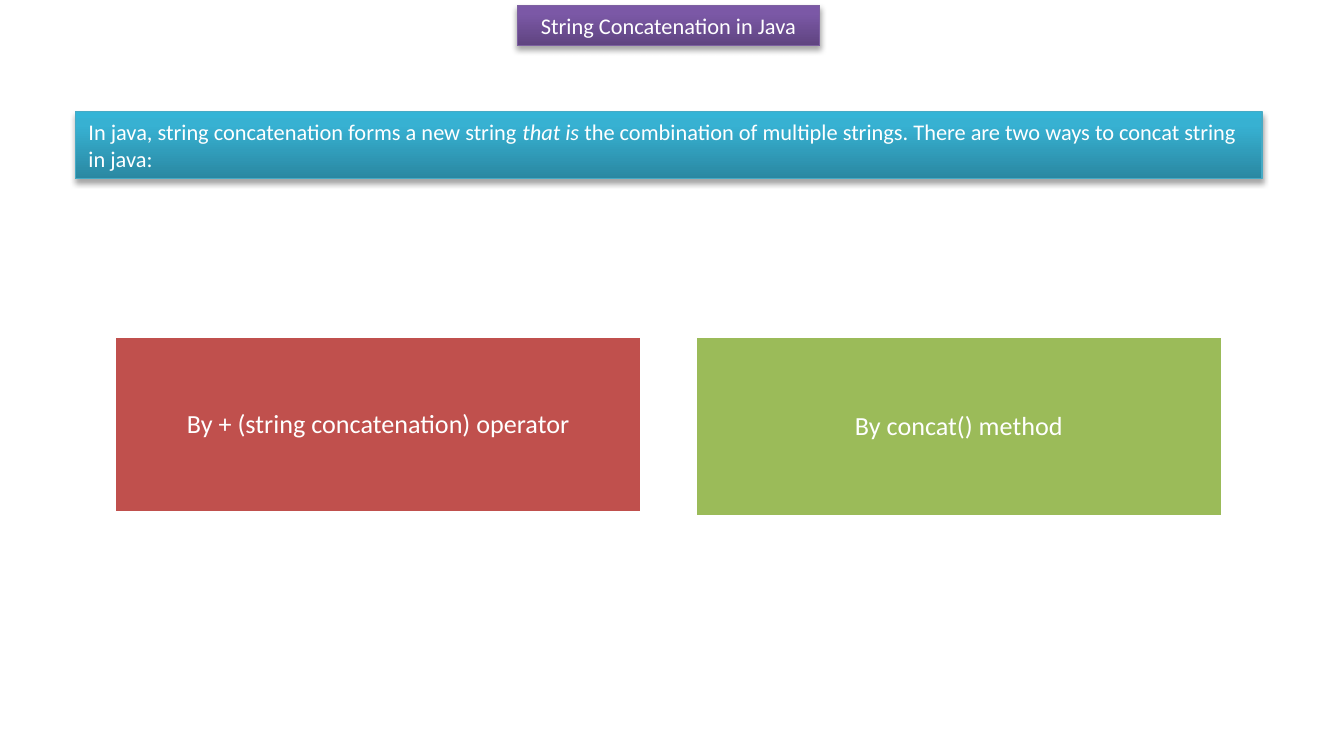
from copy import deepcopy

from lxml.etree import SubElement
from pptx import Presentation
from pptx.dml.color import RGBColor
from pptx.enum.shapes import MSO_SHAPE
from pptx.enum.text import MSO_ANCHOR, PP_ALIGN
from pptx.oxml.ns import qn
from pptx.util import Inches, Pt

WHITE = RGBColor(0xFF, 0xFF, 0xFF)
RED = RGBColor(0xC0, 0x50, 0x4D)
GREEN = RGBColor(0x9B, 0xBB, 0x59)
PURPLE_LINE = RGBColor(0x7D, 0x60, 0xA0)
PURPLE_STOPS = (RGBColor(0x5F, 0x44, 0x80), RGBColor(0x7B, 0x58, 0xA6), RGBColor(0x7C, 0x57, 0xA8))
TEAL_LINE = RGBColor(0x46, 0xAA, 0xC5)
TEAL_STOPS = (RGBColor(0x2A, 0x88, 0xA2), RGBColor(0x37, 0xB1, 0xD2), RGBColor(0x34, 0xB4, 0xD6))
STOP_POSITIONS = (0, 0.8, 1)


class SlideBuilder:
    font_name = "Calibri"

    def __init__(self, slide):
        self.slide = slide

    def add_rectangle(self, left, top, width, height):
        return self.slide.shapes.add_shape(
            MSO_SHAPE.RECTANGLE, Inches(left), Inches(top), Inches(width), Inches(height))

    def set_text(self, shape, runs, size, alignment, anchor):
        """Fill the shape with one paragraph of (text, italic) runs."""
        frame = shape.text_frame
        frame.word_wrap = True
        frame.vertical_anchor = anchor
        paragraph = frame.paragraphs[0]
        paragraph.alignment = alignment
        paragraph.font.name = self.font_name
        paragraph.font.size = Pt(size)
        paragraph.font.color.rgb = WHITE
        for text, italic in runs:
            run = paragraph.add_run()
            run.text = text
            if italic:
                run.font.italic = True
        return paragraph

    def style_banner(self, shape, stops, line_color):
        """Give the shape a vertical gradient, a thin outline and a soft shadow."""
        shape.fill.gradient()
        shape.fill.gradient_angle = 90
        properties = shape._element.spPr
        stop_list = properties.find(".//" + qn("a:gsLst"))
        stop_list.append(deepcopy(stop_list[-1]))
        for stop, color, position in zip(shape.fill.gradient_stops, stops, STOP_POSITIONS):
            stop.color.rgb = color
            stop.position = position
        shape.line.color.rgb = line_color
        shape.line.width = Pt(0.75)
        shape.shadow.inherit = False
        shadow = SubElement(
            properties.find(qn("a:effectLst")), qn("a:outerShdw"),
            blurRad=str(Pt(3.1)), dist=str(Pt(1.8)), dir="5400000", rotWithShape="0")
        shadow_color = SubElement(shadow, qn("a:srgbClr"), val="000000")
        SubElement(shadow_color, qn("a:alpha"), val="35000")

    def title(self, text, left, top, width, height):
        shape = self.slide.shapes.title
        shape.left, shape.top = Inches(left), Inches(top)
        shape.width, shape.height = Inches(width), Inches(height)
        self.style_banner(shape, PURPLE_STOPS, PURPLE_LINE)
        self.set_text(shape, [(text, False)], 12, PP_ALIGN.CENTER, MSO_ANCHOR.TOP)

    def introduction(self, runs, left, top, width, height):
        shape = self.add_rectangle(left, top, width, height)
        self.style_banner(shape, TEAL_STOPS, TEAL_LINE)
        self.set_text(shape, runs, 12, PP_ALIGN.LEFT, MSO_ANCHOR.TOP)

    def option(self, text, color, left, top, width, height):
        shape = self.add_rectangle(left, top, width, height)
        shape.shadow.inherit = False
        shape.fill.solid()
        shape.fill.fore_color.rgb = color
        shape.line.color.rgb = WHITE
        shape.line.width = Pt(2)
        frame = shape.text_frame
        frame.margin_left = frame.margin_right = Inches(0.06)
        frame.margin_top = frame.margin_bottom = Inches(0.06)
        paragraph = self.set_text(shape, [(text, False)], 14, PP_ALIGN.CENTER, MSO_ANCHOR.MIDDLE)
        paragraph.line_spacing = 0.9


def main():
    presentation = Presentation()
    presentation.slide_width = Inches(10)
    presentation.slide_height = Inches(5.5)
    title_only = presentation.slide_layouts[5]
    builder = SlideBuilder(presentation.slides.add_slide(title_only))

    builder.title("String Concatenation in Java", 3.85, 0.04, 2.25, 0.3)
    builder.introduction([
        ("In java, string concatenation forms a new string ", False),
        ("that is", True),
        (" the combination of multiple strings. There are two ways to concat string in java:", False),
    ], 0.56, 0.83, 8.83, 0.5)

    options = [
        ("By + (string concatenation) operator", RED, 1.32),
        ("By concat() method", GREEN, 1.35),
    ]
    for index, (text, color, height) in enumerate(options):
        builder.option(text, color, 0.85 + index * 4.32, 2.5, 3.93, height)

    presentation.save("out.pptx")


if __name__ == "__main__":
    main()
